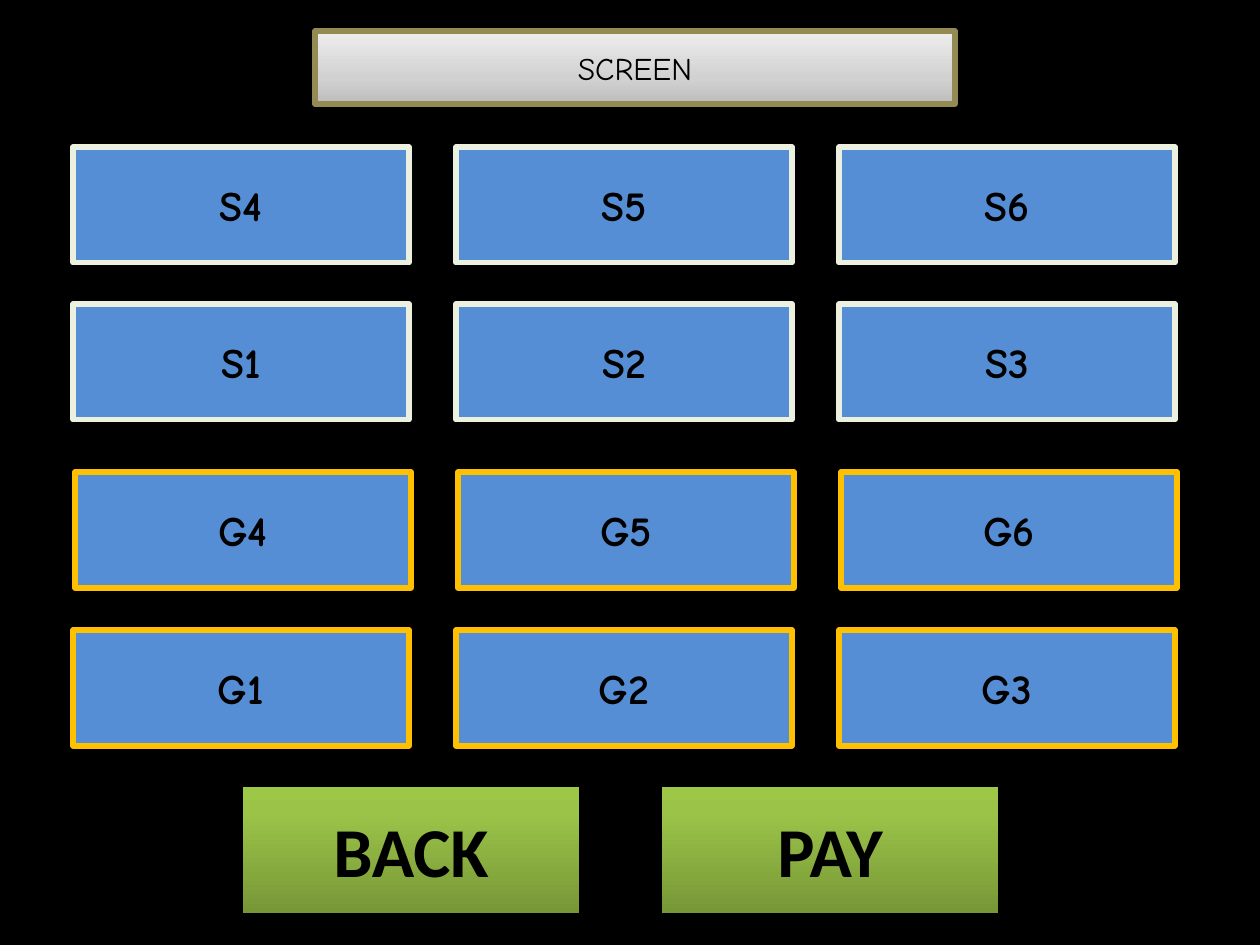
from copy import deepcopy
from dataclasses import dataclass
from typing import Any, Optional

from pptx import Presentation
from pptx import util as u
from pptx.dml import color
from pptx.enum import shapes, text
from pptx.oxml import ns

EMU_PER_INCH = 914400
PX_PER_INCH = 126


def px(n: int) -> u.Emu:
    return u.Emu(round(n * EMU_PER_INCH / PX_PER_INCH))


def rgb(value: str) -> color.RGBColor:
    return color.RGBColor.from_string(value)


Gradient = tuple[tuple[float, str], ...]


@dataclass(frozen=True)
class Theme:
    background: str = "000000"
    ink: str = "000000"
    seat: str = "558ED5"
    gold: str = "FFC000"
    silver: str = "EBF1DE"
    screen_edge: str = "948A54"
    screen: Gradient = ((0, "BDBDBD"), (0.35, "D1D1D1"), (1, "EEEEEE"))
    button: Gradient = ((0, "779737"), (0.8, "9BC348"), (1, "9DC746"))
    border: int = 3
    screen_size: int = 18
    seat_size: int = 24
    button_size: int = 40
    seat_font: str = "Comic Neue"
    button_font: str = "Calibri"


THEME = Theme()


@dataclass(frozen=True)
class Box:
    label: str
    left: int
    top: int
    width: int
    height: int
    fill: str | Gradient
    edge: Optional[str]
    font: dict[str, Any]


@dataclass(frozen=True)
class SeatRow:
    prefix: str
    first: int
    left: int
    top: int
    edge: str


SCREEN_FONT = {"name": THEME.seat_font, "size": u.Pt(THEME.screen_size), "bold": False}
SEAT_FONT = {"name": THEME.seat_font, "size": u.Pt(THEME.seat_size), "bold": True}
BUTTON_FONT = {"name": THEME.button_font, "size": u.Pt(THEME.button_size), "bold": True}
FRAME = {"word_wrap": True, "vertical_anchor": text.MSO_ANCHOR.MIDDLE}

SEAT_WIDTH, SEAT_HEIGHT, SEAT_PITCH, SEATS_PER_ROW = 336, 116, 383, 3
BUTTON_TOP, BUTTON_WIDTH, BUTTON_HEIGHT = 787, 336, 126

ROWS = (
    SeatRow("G", 1, 73, 630, THEME.gold),
    SeatRow("G", 4, 75, 472, THEME.gold),
    SeatRow("S", 1, 73, 304, THEME.silver),
    SeatRow("S", 4, 73, 147, THEME.silver),
)
BUTTONS = (("BACK", 243), ("PAY", 662))


def set_attrs(obj: Any, values: dict[str, Any]) -> None:
    for name, value in values.items():
        setattr(obj, name, value)


def fill_gradient(sp: Any, stops: Gradient) -> None:
    sp.fill.gradient()
    sp.fill.gradient_angle = 90
    gs_list = sp._element.spPr.find(ns.qn("a:gradFill")).find(ns.qn("a:gsLst"))
    while len(gs_list) < len(stops):
        gs_list.append(deepcopy(gs_list[0]))
    for stop, (position, value) in zip(sp.fill.gradient_stops, stops):
        stop.position = position
        stop.color.rgb = rgb(value)


def draw_box(s: Any, box: Box) -> None:
    bounds = map(px, (box.left, box.top, box.width, box.height))
    sp = s.shapes.add_shape(shapes.MSO_SHAPE.RECTANGLE, *bounds)
    sp.shadow.inherit = False
    if isinstance(box.fill, str):
        sp.fill.solid()
        sp.fill.fore_color.rgb = rgb(box.fill)
    else:
        fill_gradient(sp, box.fill)
    if box.edge:
        sp.line.color.rgb = rgb(box.edge)
        sp.line.width = u.Pt(THEME.border)
    else:
        sp.line.fill.background()
    tf = sp.text_frame
    set_attrs(tf, FRAME)
    p = tf.paragraphs[0]
    p.alignment = text.PP_ALIGN.CENTER
    r = p.add_run()
    r.text = box.label
    set_attrs(r.font, box.font)
    r.font.color.rgb = rgb(THEME.ink)


def draw_row(s: Any, row: SeatRow) -> None:
    for i in range(SEATS_PER_ROW):
        draw_box(s, Box(f"{row.prefix}{row.first + i}", row.left + i * SEAT_PITCH, row.top,
                        SEAT_WIDTH, SEAT_HEIGHT, THEME.seat, row.edge, SEAT_FONT))


def main() -> None:
    prs = Presentation()
    set_attrs(prs, {"slide_width": px(1260), "slide_height": px(945)})
    s = prs.slides.add_slide(prs.slide_layouts[6])
    s.background.fill.solid()
    s.background.fill.fore_color.rgb = rgb(THEME.background)

    draw_box(s, Box("SCREEN", 315, 31, 640, 73, THEME.screen, THEME.screen_edge, SCREEN_FONT))
    for row in ROWS:
        draw_row(s, row)
    for label, left in BUTTONS:
        draw_box(s, Box(label, left, BUTTON_TOP, BUTTON_WIDTH, BUTTON_HEIGHT,
                        THEME.button, None, BUTTON_FONT))
    prs.save("out.pptx")


if __name__ == "__main__":
    main()
